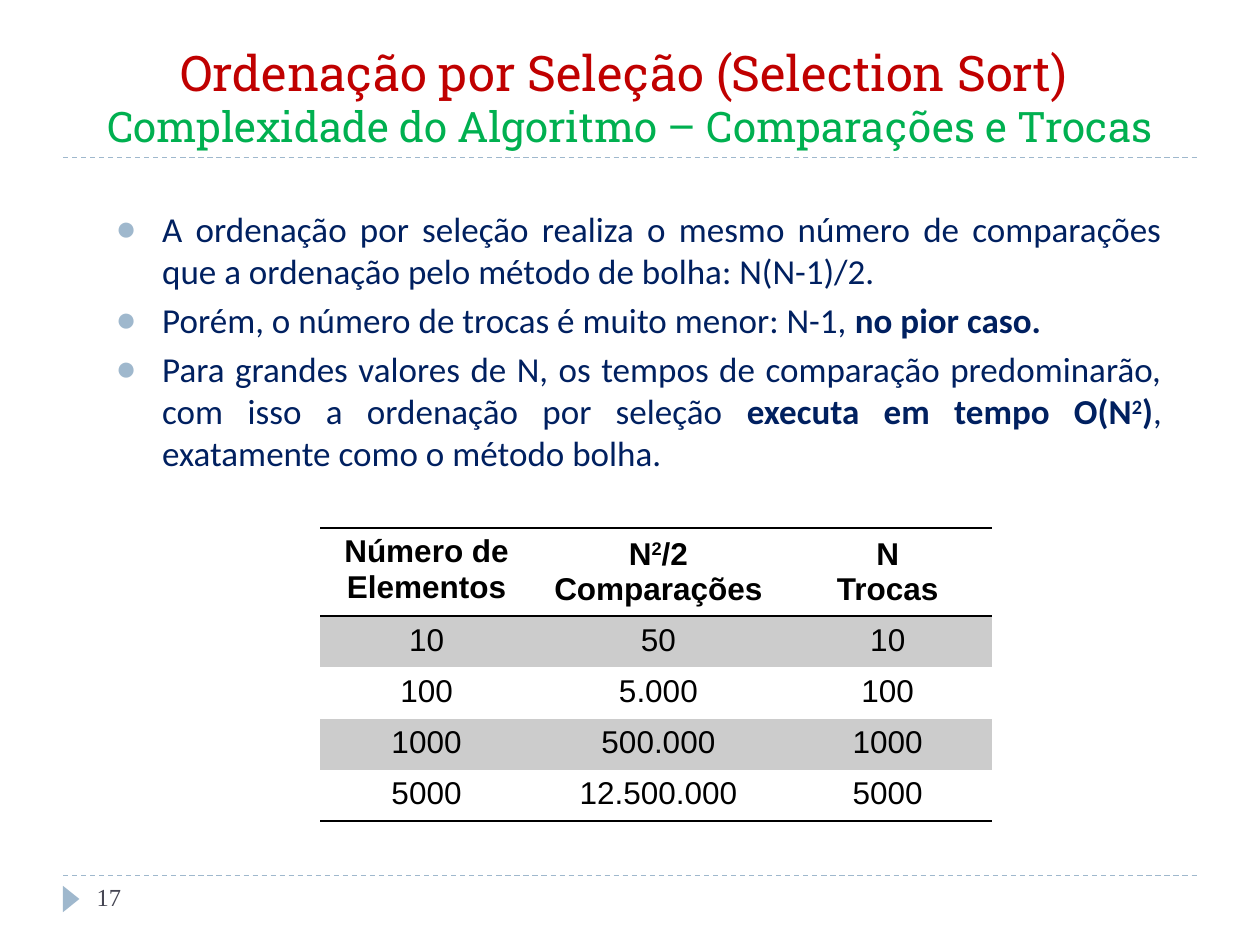
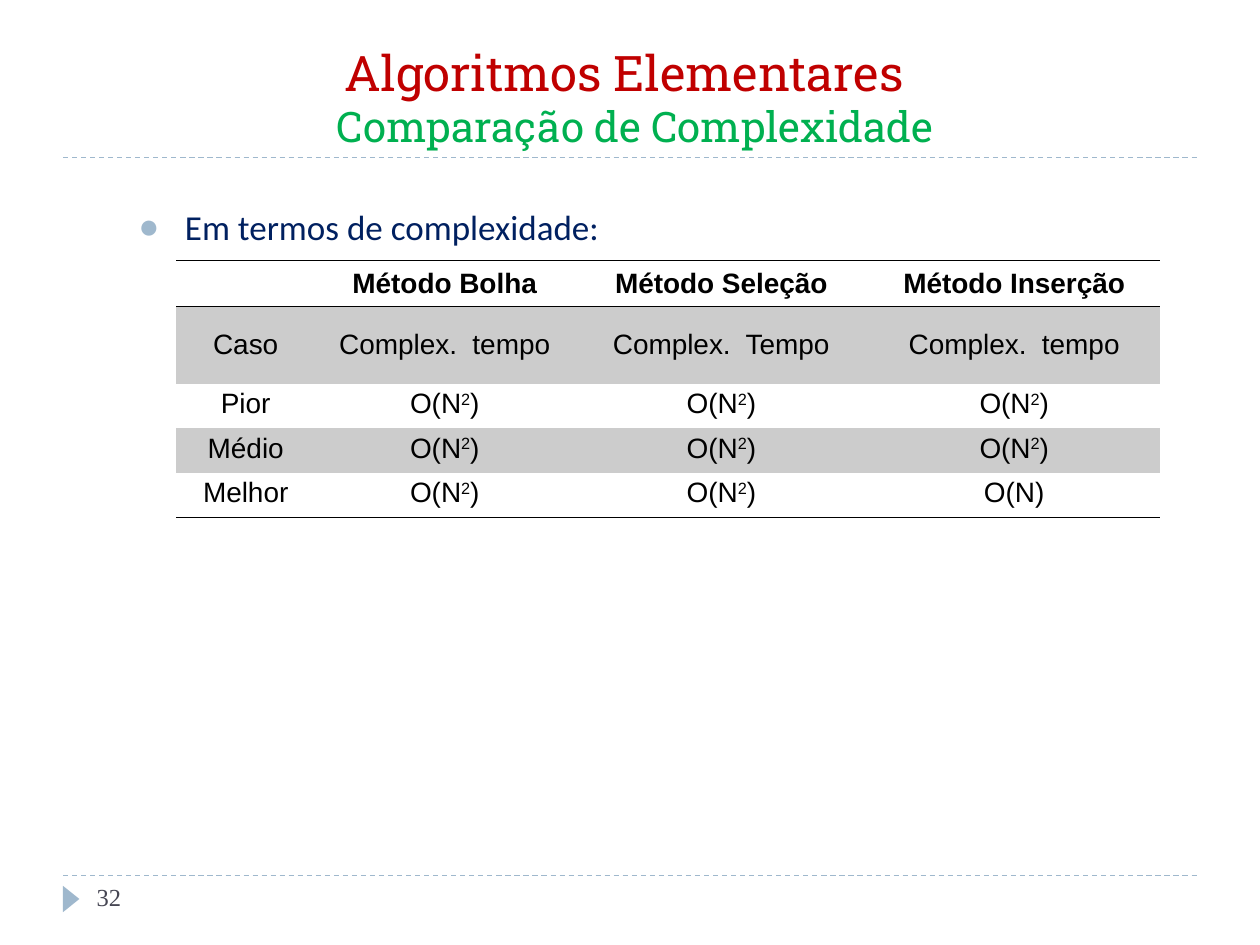
import pptx
import pptx.dml.color
import pptx.enum.shapes
import pptx.enum.text
import pptx.enum.dml
import pptx.oxml.ns
import pptx.util
from lxml import etree

Pt = pptx.util.Pt
qn = pptx.oxml.ns.qn
RGBColor = pptx.dml.color.RGBColor
ALIGN = pptx.enum.text.PP_ALIGN
ANCHOR = pptx.enum.text.MSO_ANCHOR

RED = RGBColor(0xC0, 0x00, 0x00)
GREEN = RGBColor(0x00, 0xB0, 0x50)
NAVY = RGBColor(0x00, 0x20, 0x60)
STEEL = RGBColor(0x9F, 0xB8, 0xCD)
SLATE = RGBColor(0x46, 0x46, 0x53)
BLACK = RGBColor(0x00, 0x00, 0x00)
GRAY = RGBColor(0xCC, 0xCC, 0xCC)

TITLE_FONT = "Roboto Slab"
BODY_FONT = "Calibri"
TABLE_FONT = "Arial"
NUMBER_FONT = "Times New Roman"
PLAIN_TABLE = "{2D5ABB26-0587-4C30-8999-92F81FD0307C}"


class Deck:
    """Holds the shared style and the current slide."""

    def __init__(self):
        self.prs = pptx.Presentation()
        self.prs.slide_width, self.prs.slide_height = Pt(720), Pt(540)
        self.s = None

    def slide(self, title, subtitle, number):
        """Start a slide with its rules, marker, title and number."""
        self.s = self.prs.slides.add_slide(self.prs.slide_layouts[6])
        for y in (500.4, 90):
            self.rule(y)
        self.marker()
        self.title(title, subtitle)
        self.number(number)

    def rule(self, y):
        """Draw a dashed line across the slide."""
        line = self.s.shapes.add_connector(
            pptx.enum.shapes.MSO_CONNECTOR.STRAIGHT, Pt(36), Pt(y), Pt(684), Pt(y))
        line.line.color.rgb = STEEL
        line.line.width = Pt(0.75)
        line.line.dash_style = pptx.enum.dml.MSO_LINE.DASH
        etree.SubElement(line._element.spPr, qn("a:effectLst"))

    def marker(self):
        """Draw the triangle beside the slide number."""
        sp = self.s.shapes.add_shape(
            pptx.enum.shapes.MSO_SHAPE.ISOSCELES_TRIANGLE,
            Pt(33.1), Pt(509), Pt(15.1), Pt(9.4))
        sp.rotation = 90
        sp.shadow.inherit = False
        sp.fill.solid()
        sp.fill.fore_color.rgb = STEEL
        sp.line.fill.background()

    def box(self, x, y, w, h):
        """Add a wrapping text box and return its text frame."""
        tf = self.s.shapes.add_textbox(Pt(x), Pt(y), Pt(w), Pt(h)).text_frame
        tf.word_wrap = True
        return tf

    def font(self, r, name, size, color, bold=False):
        """Set the font of a run."""
        r.font.name, r.font.size, r.font.bold = name, Pt(size), bold
        r.font.color.rgb = color

    def title(self, title, subtitle):
        """Write the two-line title."""
        tf = self.box(36, 18, 648, 72)
        tf.vertical_anchor = ANCHOR.BOTTOM
        p = tf.paragraphs[0]
        p.text = f"{title}\v{subtitle}"
        p.alignment = ALIGN.CENTER
        for r, size, color in zip(p.runs, (28, 24), (RED, GREEN)):
            self.font(r, TITLE_FONT, size, color)

    def number(self, number):
        """Write the slide number."""
        tf = self.box(48.2, 500.4, 156, 28.8)
        tf.text = str(number)
        self.font(tf.paragraphs[0].runs[0], NUMBER_FONT, 14, SLATE)

    def rich(self, p, text, name, size, color, bold=False):
        """Fill a paragraph, with *bold* and ^superscript^ marks."""
        for i, part in enumerate(text.split("*")):
            for j, piece in enumerate(part.split("^")):
                if piece:
                    r = p.add_run()
                    r.text = piece
                    self.font(r, name, size, color, bold or i % 2 == 1)
                    if j % 2:
                        r.font._element.set("baseline", "30000")

    def bullets(self, x, y, h, items):
        """Write a justified bullet list."""
        tf = self.box(x, y, 612, h)
        for i, item in enumerate(items):
            p = tf.add_paragraph() if i else tf.paragraphs[0]
            p.alignment = ALIGN.JUSTIFY
            if i:
                p.space_before = Pt(4)
            pPr = p._p.get_or_add_pPr()
            pPr.set("marL", str(Pt(26.64)))
            pPr.set("indent", str(-Pt(26.64)))
            color = etree.SubElement(pPr, qn("a:buClr"))
            etree.SubElement(color, qn("a:srgbClr"), val=str(STEEL))
            etree.SubElement(pPr, qn("a:buFont"), typeface="Arial")
            etree.SubElement(pPr, qn("a:buChar"), char="●")
            self.rich(p, item, BODY_FONT, 20, NAVY)

    def border(self, cell, side):
        """Add a black border on one side of a cell."""
        ln = etree.SubElement(cell._tc.get_or_add_tcPr(), qn(f"a:ln{side}"), w=str(Pt(1)))
        fill = etree.SubElement(ln, qn("a:solidFill"))
        etree.SubElement(fill, qn("a:srgbClr"), val=str(BLACK))

    def cell(self, cell, text, size, margin, bold):
        """Write the centred text of a table cell."""
        cell.margin_left = cell.margin_right = Pt(7.2)
        cell.margin_top = cell.margin_bottom = Pt(margin)
        cell.text = text
        for p, line in zip(cell.text_frame.paragraphs, text.split("\n")):
            p.text = ""
            p.alignment = ALIGN.CENTER
            self.rich(p, line, TABLE_FONT, size, BLACK, bold)
            if not line:
                p._p.get_or_add_endParaRPr().set("sz", str(size * 100))

    def table(self, x, y, widths, heights, rows, size, margin, middle_rows):
        """Add a ruled table with shaded odd rows."""
        t = self.s.shapes.add_table(len(rows), len(widths), Pt(x), Pt(y),
                                    Pt(sum(widths)), Pt(sum(heights))).table
        t.first_row = t.horz_banding = False
        t._tbl.tblPr.find(qn("a:tableStyleId")).text = PLAIN_TABLE
        for col, w in zip(t.columns, widths):
            col.width = Pt(w)
        for i, (row, h) in enumerate(zip(rows, heights)):
            t.rows[i].height = Pt(h)
            for j, text in enumerate(row):
                cell = t.cell(i, j)
                self.cell(cell, text, size, margin, bold=i == 0)
                cell.vertical_anchor = ANCHOR.MIDDLE if i < middle_rows else ANCHOR.TOP
                if i == 0:
                    self.border(cell, "T")
                if i in (0, len(rows) - 1):
                    self.border(cell, "B")
                if i % 2:
                    cell.fill.solid()
                    cell.fill.fore_color.rgb = GRAY
                else:
                    cell.fill.background()
        return t


def main():
    deck = Deck()

    deck.slide("Ordenação por Seleção (Selection Sort) ",
               "Complexidade do Algoritmo – Comparações e Trocas", 17)
    deck.bullets(59, 115.2, 167.8, [
        "A ordenação por seleção realiza o mesmo número de comparações "
        "que a ordenação pelo método de bolha: N(N-1)/2.",
        "Porém, o número de trocas é muito menor: N-1, *no pior caso.*",
        "Para grandes valores de N, os tempos de comparação predominarão, "
        "com isso a ordenação por seleção *executa em tempo O(N^2^)*, "
        "exatamente como o método bolha.",
    ])
    t = deck.table(182.9, 301.7, [121.7, 143.3, 118.8], [50.4] + [29.3] * 4, [
        ["Número de Elementos", "N^2^/2\nComparações", "N\nTrocas"],
        ["10", "50", "10"],
        ["100", "5.000", "100"],
        ["1000", "500.000", "1000"],
        ["5000", "12.500.000", "5000"],
    ], size=18, margin=3.6, middle_rows=1)
    t.cell(0, 0).vertical_anchor = ANCHOR.TOP

    deck.slide("Algoritmos Elementares ", " Comparação de Complexidade", 32)
    deck.bullets(72, 113.8, 33.1, ["Em termos de complexidade:"])
    square = "O(N^2^)"
    deck.table(100.8, 149, [79.2, 148.3, 167.8, 167], [26.3, 43.9] + [25.5] * 3, [
        ["", "Método Bolha", "Método Seleção", "Método Inserção"],
        ["Caso", "Complex.  tempo", "Complex.  Tempo", "Complex.  tempo"],
        ["Pior"] + [square] * 3,
        ["Médio"] + [square] * 3,
        ["Melhor", square, square, "O(N)"],
    ], size=16, margin=2.9, middle_rows=2)

    deck.prs.save("out.pptx")


if __name__ == "__main__":
    main()
